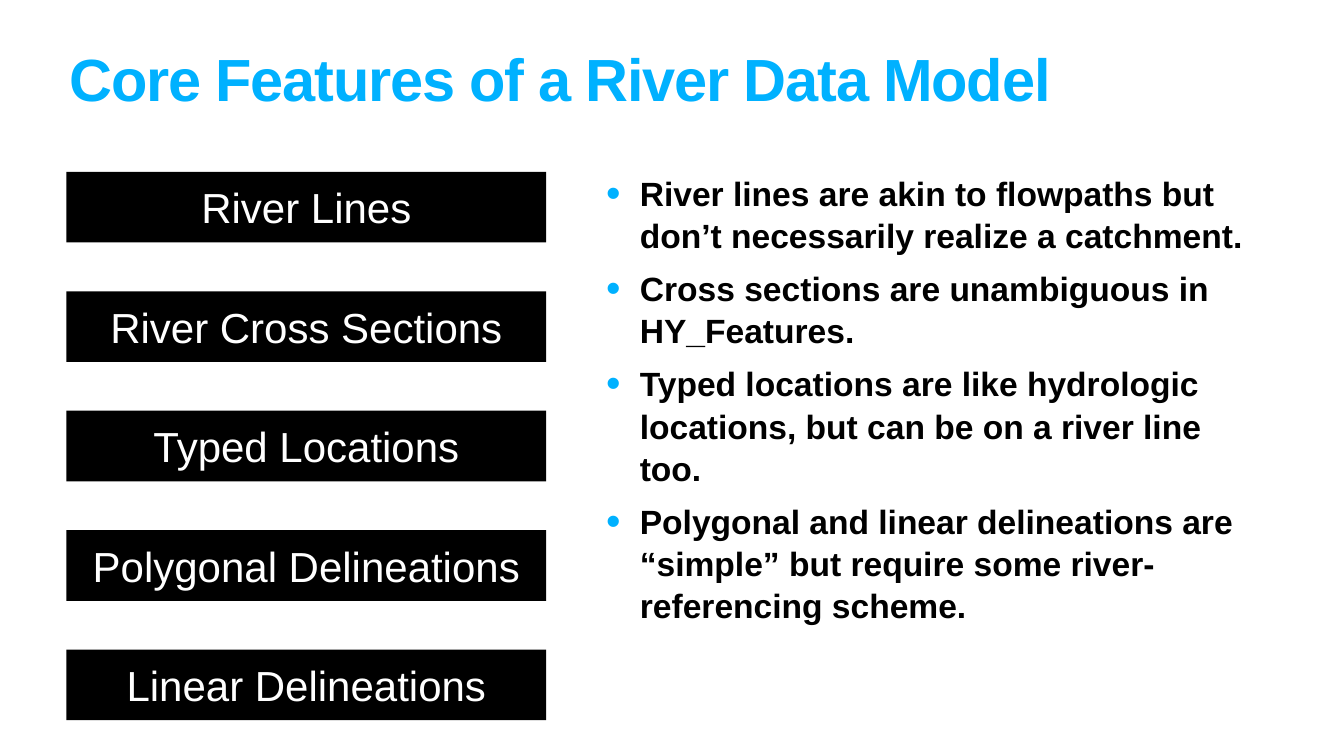
from lxml.etree import SubElement
from pptx import Presentation
from pptx.dml.color import RGBColor
from pptx.enum.shapes import MSO_SHAPE
from pptx.enum.text import MSO_ANCHOR, PP_ALIGN
from pptx.oxml.ns import qn
from pptx.util import Cm, Pt

BLUE, BLACK, WHITE = "00B1FF", "000000", "FFFFFF"
TITLE = "Core Features of a River Data Model"
FEATURES = [
    "River Lines",
    "River Cross Sections",
    "Typed Locations",
    "Polygonal Delineations",
    "Linear Delineations",
]
REMARKS = [
    "River lines are akin to flowpaths but don’t necessarily realize a catchment.",
    "Cross sections are unambiguous in HY_Features.",
    "Typed locations are like hydrologic locations, but can be on a river line too.",
    "Polygonal and linear delineations are “simple” but require some river-referencing scheme.",
]


def rgb(hex_color):
    return RGBColor.from_string(hex_color)


def set_frame(frame, anchor):
    frame.word_wrap = True
    frame.vertical_anchor = anchor
    frame.margin_left = frame.margin_right = Cm(0.15)
    frame.margin_top = frame.margin_bottom = Cm(0.15)


def add_run(paragraph, text, size, color, bold=False):
    run = paragraph.add_run()
    run.text = text
    run.font.name = "Arial"
    run.font.size = Pt(size)
    run.font.bold = bold
    run.font.color.rgb = rgb(color)
    return run


def add_bullet(paragraph, color, indent):
    """Give the paragraph a coloured dot with a hanging indent in cm."""
    properties = paragraph._p.get_or_add_pPr()
    properties.set("marL", str(Cm(indent)))
    properties.set("indent", str(-Cm(indent)))
    bullet_color = SubElement(properties, qn("a:buClr"))
    SubElement(bullet_color, qn("a:srgbClr"), val=color)
    SubElement(properties, qn("a:buSzPct"), val="123000")
    SubElement(properties, qn("a:buFont"), typeface="Arial")
    SubElement(properties, qn("a:buChar"), char="•")


def add_title(slide, left, top, width, height):
    frame = slide.shapes.add_textbox(Cm(left), Cm(top), Cm(width), Cm(height)).text_frame
    set_frame(frame, MSO_ANCHOR.TOP)
    heading = frame.paragraphs[0]
    heading.line_spacing = 0.8
    run = add_run(heading, TITLE, 85, BLUE, bold=True)
    run.font._element.set("spc", "-170")


def add_feature_column(slide, left, top, width, height, bar_height=3.56):
    """Spread one bar per feature evenly over the height."""
    pitch = (height - bar_height) / (len(FEATURES) - 1)
    for index, feature in enumerate(FEATURES):
        bar = slide.shapes.add_shape(
            MSO_SHAPE.RECTANGLE,
            Cm(left), Cm(top + index * pitch), Cm(width), Cm(bar_height),
        )
        bar.shadow.inherit = False
        bar.fill.solid()
        bar.fill.fore_color.rgb = rgb(BLACK)
        bar.line.fill.background()
        set_frame(bar.text_frame, MSO_ANCHOR.MIDDLE)
        label = bar.text_frame.paragraphs[0]
        label.alignment = PP_ALIGN.CENTER
        add_run(label, feature, 60, WHITE)


def add_remarks(slide, left, top, width, height):
    frame = slide.shapes.add_textbox(Cm(left), Cm(top), Cm(width), Cm(height)).text_frame
    set_frame(frame, MSO_ANCHOR.TOP)
    for index, remark in enumerate(REMARKS):
        paragraph = frame.add_paragraph() if index else frame.paragraphs[0]
        add_bullet(paragraph, BLUE, 1.7)
        paragraph.line_spacing = 1.05
        if index:
            paragraph.space_before = Pt(15)
        add_run(paragraph, remark, 48, BLACK, bold=True)


def main():
    deck = Presentation()
    deck.slide_width, deck.slide_height = Cm(67.74), Cm(38.1)
    slide = deck.slides.add_slide(deck.slide_layouts[6])
    add_title(slide, 3.35, 2.64, 61.04, 3.99)
    add_feature_column(slide, 3.35, 8.66, 24.18, 27.64)
    add_remarks(slide, 30.4, 8.46, 32.41, 27)
    deck.save("out.pptx")


if __name__ == "__main__":
    main()
